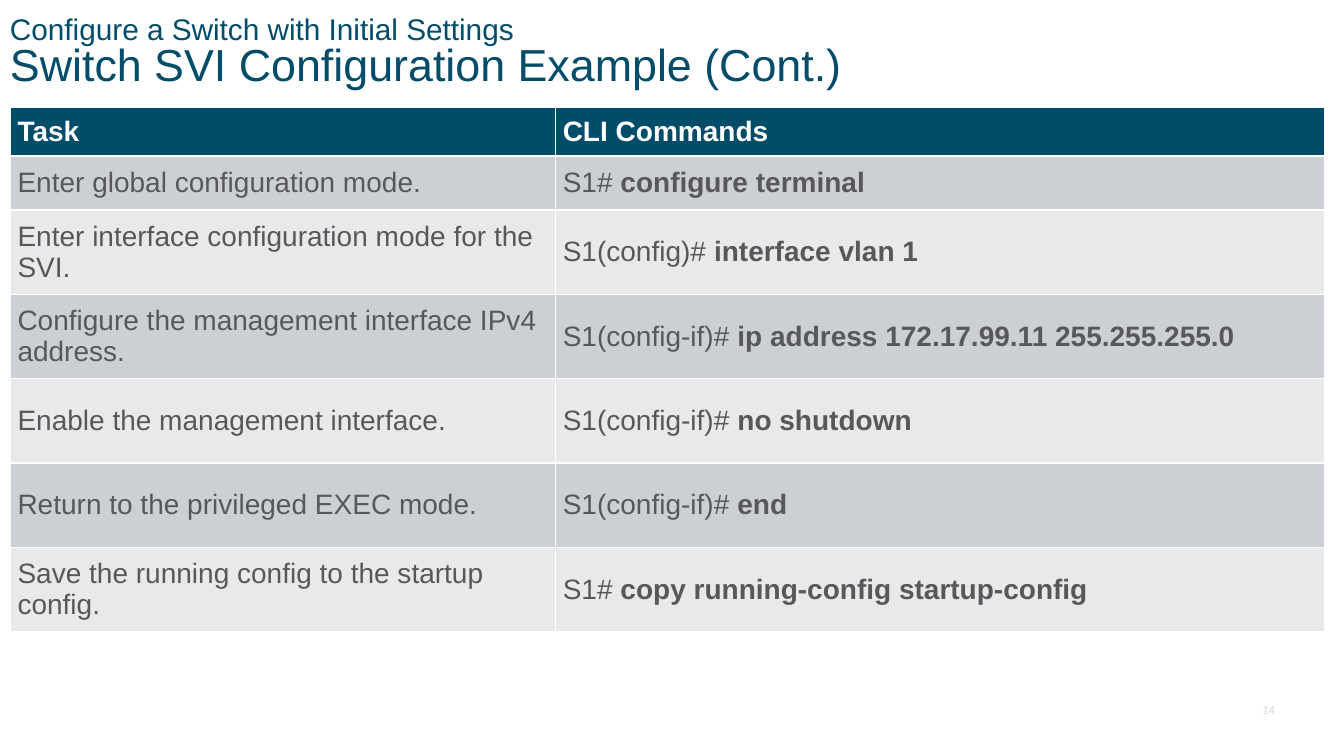
from pptx import Presentation
from pptx.dml.color import RGBColor
from pptx.enum.text import MSO_ANCHOR, PP_ALIGN
from pptx.util import Pt

TEAL = RGBColor(0x00, 0x4C, 0x69)
WHITE = RGBColor(0xFF, 0xFF, 0xFF)
GRAY = RGBColor(0x58, 0x58, 0x5B)
PALE = RGBColor(0xD8, 0xD8, 0xD8)
BANDS = [RGBColor(0xCC, 0xD0, 0xD4), RGBColor(0xE7, 0xE9, 0xEB)]

HEAD = ("Task", "CLI Commands")
TASKS = [
    ("Enter global configuration mode.", "S1# ", "configure terminal"),
    ("Enter interface configuration mode for the SVI.", "S1(config)# ", "interface vlan 1"),
    ("Configure the management interface IPv4 address.", "S1(config-if)# ",
     "ip address 172.17.99.11 255.255.255.0"),
    ("Enable the management interface.", "S1(config-if)# ", "no shutdown"),
    ("Return to the privileged EXEC mode.", "S1(config-if)# ", "end"),
    ("Save the running config to the startup config.", "S1# ",
     "copy running-config startup-config"),
]
WIDTHS = [389.5, 549.5]
HEIGHTS = [34.5, 38.5] + [60.25] * 5


def write(para, text, size=20, color=GRAY, bold=False, face="Arial"):
    run = para.add_run()
    run.text = text
    font = run.font
    font.name, font.size, font.bold = face, Pt(size), bold
    font.color.rgb = color


def inset(item, side, edge):
    item.margin_left = item.margin_right = Pt(side)
    item.margin_top = item.margin_bottom = Pt(edge)


class Page:
    def __init__(self, slide, face="Arial"):
        self.slide = slide
        self.face = face

    def box(self, left, top, width, height, anchor, side=7.2, edge=3.6):
        shape = self.slide.shapes.add_textbox(Pt(left), Pt(top), Pt(width), Pt(height))
        frame = shape.text_frame
        frame.word_wrap = True
        frame.vertical_anchor = anchor
        inset(frame, side, edge)
        return frame.paragraphs[0]

    def title(self, topic, name):
        para = self.box(0, 0, 876, 77, MSO_ANCHOR.MIDDLE)
        para.line_spacing = 0.8
        write(para, topic, size=21.3, color=TEAL, face=self.face)
        para.add_line_break()
        write(para, name, size=32, color=TEAL, face=self.face)

    def number(self, text):
        para = self.box(894.25, 498.25, 23, 16.5, MSO_ANCHOR.BOTTOM, side=6.5, edge=3)
        para.alignment = PP_ALIGN.RIGHT
        write(para, text, size=8, color=PALE, face=self.face)

    def cell(self, cell, fill, *parts, color=GRAY):
        cell.fill.solid()
        cell.fill.fore_color.rgb = fill
        cell.vertical_anchor = MSO_ANCHOR.MIDDLE
        inset(cell, 5, 5)
        for text, bold in parts:
            write(cell.text_frame.paragraphs[0], text, color=color, bold=bold, face=self.face)

    def table(self, left, top):
        grid = self.slide.shapes.add_table(
            len(HEIGHTS), len(WIDTHS), Pt(left), Pt(top), Pt(sum(WIDTHS)), Pt(sum(HEIGHTS))
        ).table
        for col, width in zip(grid.columns, WIDTHS):
            col.width = Pt(width)
        for row, height in zip(grid.rows, HEIGHTS):
            row.height = Pt(height)
        for col, name in enumerate(HEAD):
            self.cell(grid.cell(0, col), TEAL, (name, True), color=WHITE)
        for row, (task, prompt, order) in enumerate(TASKS, 1):
            fill = BANDS[(row - 1) % 2]
            self.cell(grid.cell(row, 0), fill, (task, False))
            self.cell(grid.cell(row, 1), fill, (prompt, False), (order, True))


def main():
    deck = Presentation()
    deck.slide_width, deck.slide_height = Pt(960), Pt(540)
    page = Page(deck.slides.add_slide(deck.slide_layouts[6]))
    page.number("14")
    page.title("Configure a Switch with Initial Settings", "Switch SVI Configuration Example (Cont.)")
    page.table(7.5, 77)
    deck.save("out.pptx")


if __name__ == "__main__":
    main()
